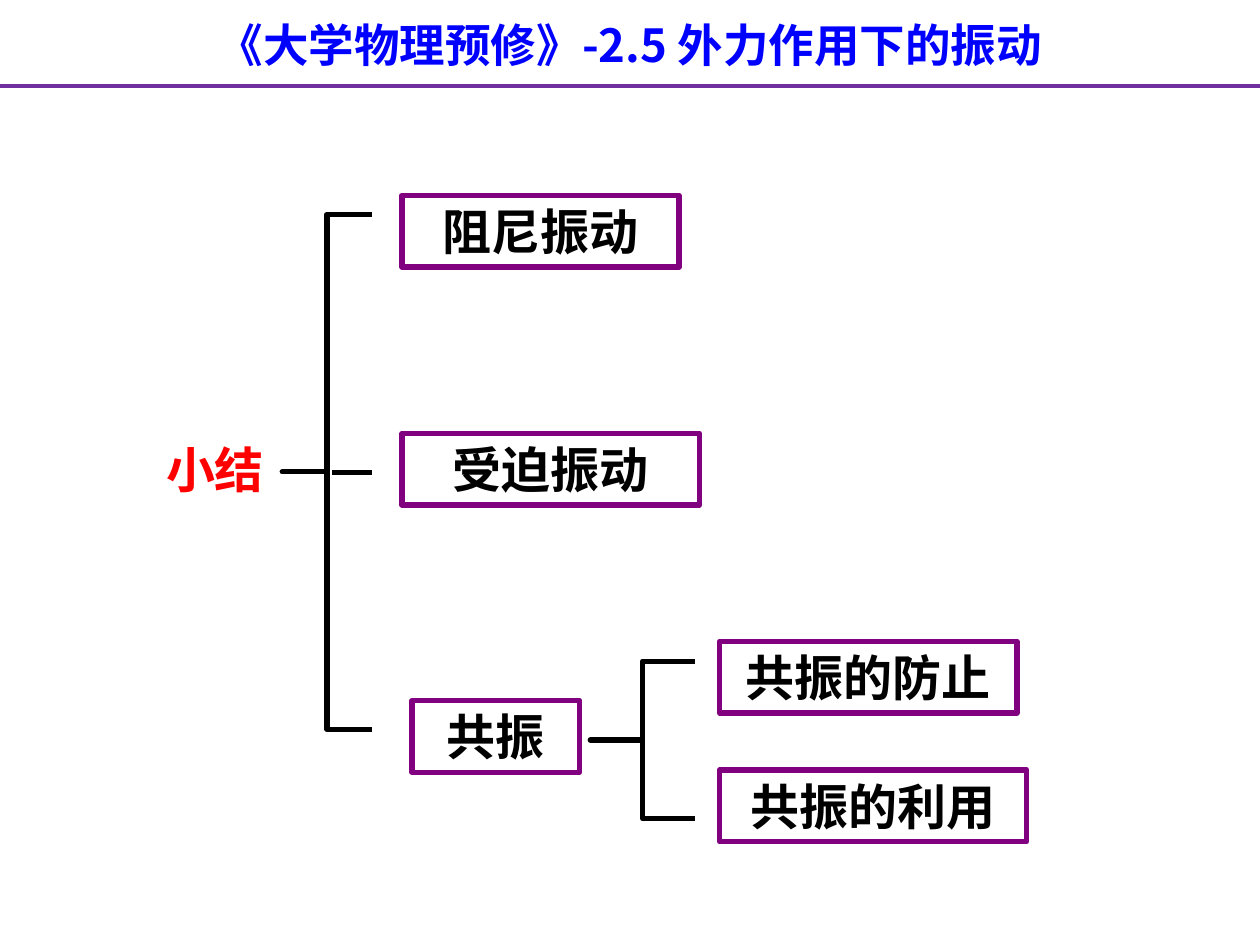
from pptx import Presentation
from pptx.dml.color import RGBColor
from pptx.enum.shapes import MSO_CONNECTOR as CONNECTOR, MSO_SHAPE as SHAPE
from pptx.enum.text import MSO_ANCHOR as ANCHOR, PP_ALIGN as ALIGN
from pptx.oxml.ns import qn
from pptx.util import Pt
from lxml import etree

CJK_FONT = "Noto Sans CJK SC"


def rgb(value):
    return RGBColor.from_string(value)


def write(box, text, size, font, color, align):
    frame = box.text_frame
    frame.word_wrap = True
    frame.vertical_anchor = ANCHOR.MIDDLE
    para = frame.paragraphs[0]
    para.alignment = align
    span = para.add_run()
    span.text = text
    span.font.size = Pt(size)
    span.font.bold = True
    span.font.name = font
    span.font.color.rgb = rgb(color)
    east_asian = etree.SubElement(span.font._element, qn("a:ea"))
    east_asian.set("typeface", CJK_FONT)


deck = Presentation()
deck.slide_width, deck.slide_height = Pt(720), Pt(540)
page = deck.slides.add_slide(deck.slide_layouts[6])
page.background.fill.solid()
page.background.fill.fore_color.rgb = rgb("FFFFFF")

# Title and root label
title = page.shapes.add_textbox(Pt(0), Pt(5.8), Pt(720), Pt(38.9))
write(title, "《大学物理预修》-2.5 外力作用下的振动", 26, CJK_FONT, "0000FF", ALIGN.CENTER)
summary = page.shapes.add_textbox(Pt(87.8), Pt(247.7), Pt(98), Pt(40.3))
write(summary, "小结", 28, CJK_FONT, "FF0000", ALIGN.LEFT)

# Topic boxes: text, left, top, width
topics = [
    ("阻尼振动", 229.7, 111.6, 158.4),
    ("受迫振动", 229.7, 247.7, 170),
    ("共振", 235.4, 400.3, 95.8),
    ("共振的防止", 411.1, 366.5, 170),
    ("共振的利用", 411.1, 440, 175.7),
]
for text, left, top, width in topics:
    box = page.shapes.add_shape(SHAPE.RECTANGLE, Pt(left), Pt(top), Pt(width), Pt(41))
    box.shadow.inherit = False
    box.fill.solid()
    box.fill.fore_color.rgb = rgb("FFFFFF")
    box.line.color.rgb = rgb("800080")
    box.line.width = Pt(3)
    write(box, text, 28, "Arial", "000000", ALIGN.CENTER)

# Square braces: preset, left, top, width, height, rotation
braces = [
    (SHAPE.LEFT_BRACE, 161.3, 122.4, 51.1, 294.5, 0),
    (SHAPE.RIGHT_BRACE, 337.3, 377.8, 59.8, 90, 180),
]
for preset, left, top, width, height, rotation in braces:
    brace = page.shapes.add_shape(preset, Pt(left), Pt(top), Pt(width), Pt(height))
    brace.shadow.inherit = False
    brace.rotation = rotation
    brace.adjustments[0] = 0
    brace.adjustments[1] = 0.5
    brace.fill.background()
    brace.line.color.rgb = rgb("000000")
    brace.line.width = Pt(3)

# Title rule and middle branch: start x, end x, y, color, width
lines = [
    (0, 720, 49, "7030A0", 2.25),
    (190, 212.4, 270, "000000", 3),
]
for start, end, y, color, width in lines:
    line = page.shapes.add_connector(CONNECTOR.STRAIGHT, Pt(start), Pt(y), Pt(end), Pt(y))
    line.line.color.rgb = rgb(color)
    line.line.width = Pt(width)
    etree.SubElement(line._element.spPr, qn("a:effectLst"))

deck.save("out.pptx")
